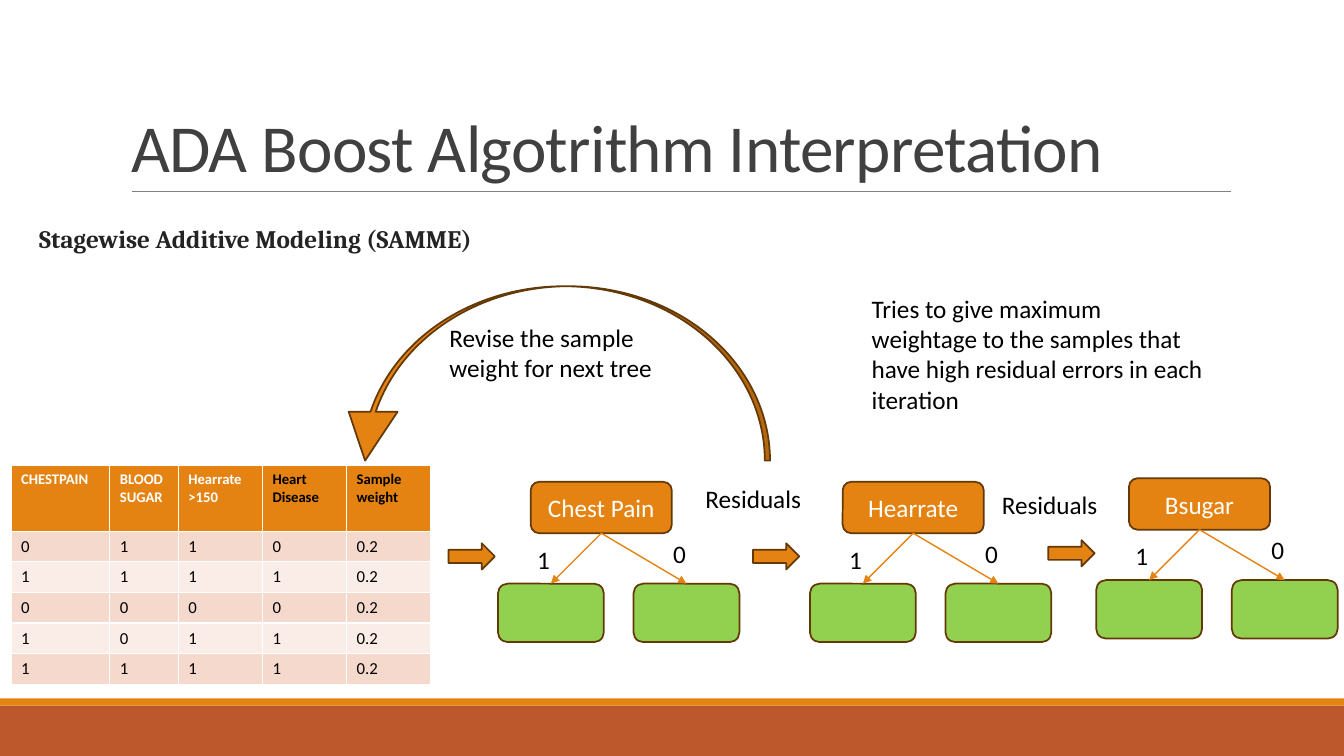
"""Build the ADA Boost slide on a grid of tenth-inch columns and rows."""
from dataclasses import dataclass
from typing import Union

from lxml import etree
from pptx import Presentation
from pptx.dml.color import RGBColor
from pptx.enum.shapes import MSO_CONNECTOR, MSO_SHAPE
from pptx.enum.text import MSO_ANCHOR, MSO_AUTO_SIZE, PP_ALIGN
from pptx.oxml.ns import qn
from pptx.shapes.autoshape import Shape
from pptx.shapes.connector import Connector
from pptx.shapes.shapetree import GroupShapes, SlideShapes
from pptx.slide import Slide
from pptx.text.text import TextFrame
from pptx.util import Inches, Length, Pt

RECT = MSO_SHAPE.RECTANGLE
ROUND = MSO_SHAPE.ROUNDED_RECTANGLE
RIGHT = MSO_SHAPE.RIGHT_ARROW
CURVE = MSO_SHAPE.CURVED_DOWN_ARROW
STRAIGHT = MSO_CONNECTOR.STRAIGHT
BOTTOM, MIDDLE = MSO_ANCHOR.BOTTOM, MSO_ANCHOR.MIDDLE
LEFT, CENTER = PP_ALIGN.LEFT, PP_ALIGN.CENTER
FIT, FIXED = MSO_AUTO_SIZE.SHAPE_TO_FIT_TEXT, MSO_AUTO_SIZE.NONE

ORANGE = RGBColor(0xE4, 0x83, 0x12)
RUST = RGBColor(0xBD, 0x58, 0x2C)
BROWN = RGBColor(0x64, 0x39, 0x08)
GREEN = RGBColor(0x92, 0xD0, 0x50)
GRAY = RGBColor(0x80, 0x80, 0x80)
DARK = RGBColor(0x40, 0x40, 0x40)
INK = RGBColor(0x24, 0x24, 0x24)
BLACK = RGBColor(0, 0, 0)
WHITE = RGBColor(0xFF, 0xFF, 0xFF)
BANDS = (RGBColor(0xFA, 0xED, 0xE7), RGBColor(0xF5, 0xD9, 0xCC))

WIDE, HIGH = 133.33, 75
Tree = Union[SlideShapes, GroupShapes]


@dataclass(frozen=True)
class Box:
    col: float
    row: float
    wide: float
    high: float


@dataclass(frozen=True)
class Style:
    size: float = 18
    color: RGBColor = BLACK
    font: str = "Calibri"
    bold: bool = False


@dataclass(frozen=True)
class Note:
    text: str
    box: Box
    style: Style = Style()


@dataclass(frozen=True)
class Stump:
    name: str
    col: float
    row: float


PLAIN = Style()
NOTES = (
    Note("Stagewise Additive Modeling (SAMME)", Box(2.9, 21.7, 55.9, 4),
         Style(18, INK, "Cambria", True)),
    Note("Tries to give maximum weightage to the samples that have high "
         "residual errors in each iteration", Box(85.5, 28.6, 35, 13.1)),
    Note("Revise the sample weight for next tree", Box(43.6, 31.5, 24.4, 7.1)),
    Note("Residuals", Box(69, 47.5, 13.2, 4)),
    Note("Residuals", Box(98.4, 48.1, 13.2, 4)),
)
STUMPS = (
    Stump("Chest Pain", 49.4, 47.8),
    Stump("Hearrate", 80.35, 47.8),
    Stump("Bsugar", 108.75, 47.45),
)
LEAVES = (("1", 0, 2.9, 5.7), ("0", 13.45, 16.4, 5.1))
ARROWS = ((44.5, 53.9), (74.7, 53.9), (104, 53.6))
HEADS = (
    ("CHESTPAIN", 9.8, WHITE),
    ("BLOOD SUGAR", 6.8, WHITE),
    ("Hearrate >150", 8.35, WHITE),
    ("Heart Disease", 8.35, BLACK),
    ("Sample weight", 8.35, BLACK),
)
ROWS = ("0110", "1111", "0000", "1011", "1111")
WEIGHT = "0.2"


def grid(count: float) -> Length:
    return Inches(count / 10)


def place(box: Box) -> tuple[Length, ...]:
    return grid(box.col), grid(box.row), grid(box.wide), grid(box.high)


def write(frame: TextFrame, text: str, style: Style = PLAIN, align: PP_ALIGN = LEFT) -> None:
    line = frame.paragraphs[0]
    line.alignment = align
    run = line.add_run()
    run.text = text
    run.font.size = Pt(style.size)
    run.font.name = style.font
    run.font.bold = style.bold
    run.font.color.rgb = style.color


def add_form(shapes: Tree, kind: MSO_SHAPE, box: Box, fill: RGBColor,
             edge: bool = True) -> Shape:
    form = shapes.add_shape(kind, *place(box))
    form.shadow.inherit = False
    form.fill.solid()
    form.fill.fore_color.rgb = fill
    if edge:
        form.line.color.rgb = BROWN
        form.line.width = Pt(1.25)
    else:
        form.line.fill.background()
    return form


def add_note(shapes: Tree, note: Note) -> None:
    frame = shapes.add_textbox(*place(note.box)).text_frame
    frame.word_wrap = True
    frame.auto_size = FIT
    write(frame, note.text, note.style)


def add_line(shapes: Tree, start: tuple[float, float], end: tuple[float, float],
             color: RGBColor, width: float) -> Connector:
    line = shapes.add_connector(STRAIGHT, *map(grid, start + end))
    line.line.color.rgb = color
    line.line.width = Pt(width)
    etree.SubElement(line._element.spPr, qn("a:effectLst"))
    return line


def add_stump(slide: Slide, stump: Stump) -> None:
    shapes = slide.shapes.add_group_shape().shapes
    col, row = stump.col, stump.row
    root = add_form(shapes, ROUND, Box(col + 3.25, row, 14, 5.1), ORANGE)
    root.text_frame.vertical_anchor = MIDDLE
    write(root.text_frame, stump.name, Style(color=WHITE), CENTER)
    for text, shift, right, down in LEAVES:
        leaf = add_form(shapes, ROUND, Box(col + shift, row + 10.1, 10.5, 5.8), GREEN)
        line = add_line(shapes, (col + 10.25, row + 5.1),
                        (col + shift + 5.25, row + 10.1), ORANGE, 1)
        line.begin_connect(root, 2)
        line.end_connect(leaf, 0)
        etree.SubElement(line.get_or_add_ln(), qn("a:tailEnd"), type="triangle")
        add_note(shapes, Note(text, Box(col + right, row + down, 3.1, 3.5)))


def add_data(slide: Slide) -> None:
    box = Box(1.1, 46.2, 41.6, 21.5)
    table = slide.shapes.add_table(len(ROWS) + 1, len(HEADS), *place(box)).table
    table.rows[0].height = grid(6.5)
    for col, (text, wide, color) in enumerate(HEADS):
        table.columns[col].width = grid(wide)
        cell = table.cell(0, col)
        cell.fill.solid()
        cell.fill.fore_color.rgb = ORANGE
        write(cell.text_frame, text, Style(10.5, color, bold=True))
    for row, flags in enumerate(ROWS, 1):
        table.rows[row].height = grid(3)
        for col, text in enumerate((*flags, WEIGHT)):
            cell = table.cell(row, col)
            cell.fill.solid()
            cell.fill.fore_color.rgb = BANDS[row % 2]
            write(cell.text_frame, text, Style(12))


def add_title(slide: Slide) -> None:
    title = slide.shapes.title
    title.left, title.top, title.width, title.height = place(Box(12, 3.1, 110, 15.9))
    frame = title.text_frame
    frame.auto_size = FIXED
    frame.vertical_anchor = BOTTOM
    write(frame, "ADA Boost Algotrithm Interpretation", Style(48, DARK))
    line = frame.paragraphs[0]
    line.line_spacing = 0.85
    line.runs[0]._r.get_or_add_rPr().set("spc", "-50")


def add_curve(slide: Slide) -> None:
    curve = add_form(slide.shapes, CURVE, Box(33.8, 28.4, 42.6, 17.3), ORANGE)
    for spot, value in enumerate((0.03, 0.28, 0.28)):
        curve.adjustments[spot] = value
    curve._element.spPr.xfrm.set("flipH", "1")


def main() -> None:
    deck = Presentation()
    deck.slide_width, deck.slide_height = grid(WIDE), grid(HIGH)
    slide = deck.slides.add_slide(deck.slide_layouts[5])
    shapes = slide.shapes
    add_form(shapes, RECT, Box(0, 70, WIDE, 5), RUST, False)
    add_form(shapes, RECT, Box(0, 69.3, WIDE, 0.7), ORANGE, False)
    add_line(shapes, (13.1, 19), (122.1, 19), GRAY, 0.5)
    add_title(slide)
    add_data(slide)
    for stump in STUMPS:
        add_stump(slide, stump)
    for col, row in ARROWS:
        add_form(shapes, RIGHT, Box(col, row, 4.6, 2.6), ORANGE)
    add_curve(slide)
    for note in NOTES:
        add_note(shapes, note)
    deck.save("out.pptx")


if __name__ == "__main__":
    main()
